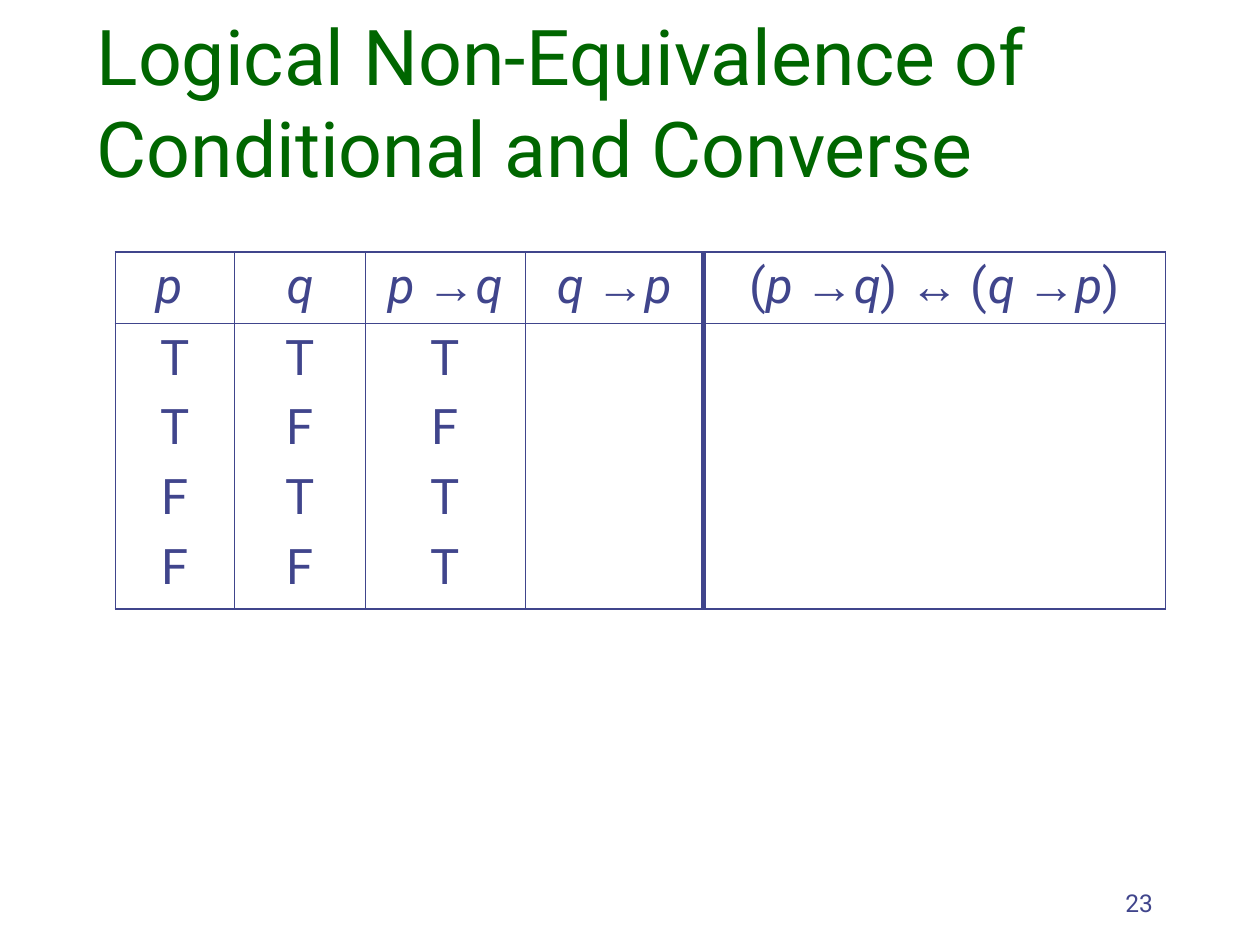
from dataclasses import dataclass

import pptx
import pptx.dml.color
import pptx.enum.text
import pptx.oxml
import pptx.oxml.ns
import pptx.util

Pt = pptx.util.Pt
ALIGN = pptx.enum.text.PP_ALIGN
ANCHOR = pptx.enum.text.MSO_ANCHOR


@dataclass
class Theme:
    title_color: str = "006600"
    ink: str = "40458C"
    text_font: str = "Roboto"
    arrow_font: str = "Arial"
    title_size: int = 44
    table_size: int = 28
    number_size: int = 14
    thin: float = 0.45
    frame: float = 1.08
    divider: float = 3


theme = Theme()


def add_run(paragraph, text, size, color, italic=False):
    run = paragraph.add_run()
    run.text = text
    run.font.name = theme.arrow_font if text in "→↔" else theme.text_font
    run.font.size = Pt(size)
    run.font.italic = italic
    run.font.color.rgb = pptx.dml.color.RGBColor.from_string(color)


def set_borders(cell, widths):
    """Line widths in the order left, right, top, bottom."""
    properties = cell._tc.get_or_add_tcPr()
    for position, (side, width) in enumerate(zip("LRTB", widths)):
        line = pptx.oxml.parse_xml(
            f'<a:ln{side} {pptx.oxml.ns.nsdecls("a")} w="{int(Pt(width))}">'
            f'<a:solidFill><a:srgbClr val="{theme.ink}"/></a:solidFill>'
            f'</a:ln{side}>'
        )
        properties.insert(position, line)


presentation = pptx.Presentation()
presentation.slide_width, presentation.slide_height = Pt(720), Pt(540)
slide = presentation.slides.add_slide(presentation.slide_layouts[5])

# Title
title = slide.shapes.title
title.left, title.top, title.width, title.height = Pt(48), Pt(24), Pt(612), Pt(90)
title.text_frame.word_wrap = True
title.text_frame.auto_size = pptx.enum.text.MSO_AUTO_SIZE.NONE
title.text_frame.vertical_anchor = ANCHOR.BOTTOM
heading = title.text_frame.paragraphs[0]
heading.alignment = ALIGN.LEFT
add_run(heading, "Logical Non-Equivalence of Conditional and Converse",
        theme.title_size, theme.title_color)

# Truth table: one header row, and one tall row with a paragraph per case
headers = [
    ["p "],
    ["q"],
    ["p ", "→", "q"],
    ["q ", "→", "p"],
    ["(", "p ", "→", "q", ") ", "↔", " (", "q ", "→", "p", ")"],
]
truth_values = ["TTFF", "TFTF", "TFTT", "", ""]
column_widths = [68, 75, 91, 102, 264]
row_heights = [41, 163]
vertical_lines = [theme.frame, theme.thin, theme.thin, theme.thin,
                  theme.divider, theme.frame]
horizontal_lines = [theme.frame, theme.thin, theme.frame]

truth_table = slide.shapes.add_table(
    len(row_heights), len(column_widths), Pt(66), Pt(144),
    Pt(sum(column_widths)), Pt(sum(row_heights))).table
truth_table.first_row = False
truth_table.horz_banding = False
for column, width in zip(truth_table.columns, column_widths):
    column.width = Pt(width)
for row, height in zip(truth_table.rows, row_heights):
    row.height = Pt(height)

for r in range(len(row_heights)):
    for c in range(len(column_widths)):
        cell = truth_table.cell(r, c)
        cell.fill.background()
        set_borders(cell, vertical_lines[c:c + 2] + horizontal_lines[r:r + 2])
        lines = [headers[c]] if r == 0 else truth_values[c]
        for index, pieces in enumerate(lines):
            if index == 0:
                paragraph = cell.text_frame.paragraphs[0]
            else:
                paragraph = cell.text_frame.add_paragraph()
                paragraph.space_before = Pt(7)
            paragraph.alignment = ALIGN.CENTER
            for piece in pieces:
                add_run(paragraph, piece, theme.table_size, theme.ink,
                        italic=piece.strip() in ("p", "q"))

# Slide number
number_box = slide.shapes.add_textbox(Pt(516), Pt(492), Pt(150), Pt(36))
number_box.text_frame.word_wrap = True
number_box.text_frame.vertical_anchor = ANCHOR.BOTTOM
number = number_box.text_frame.paragraphs[0]
number.alignment = ALIGN.RIGHT
add_run(number, "23", theme.number_size, theme.ink)

presentation.save("out.pptx")
